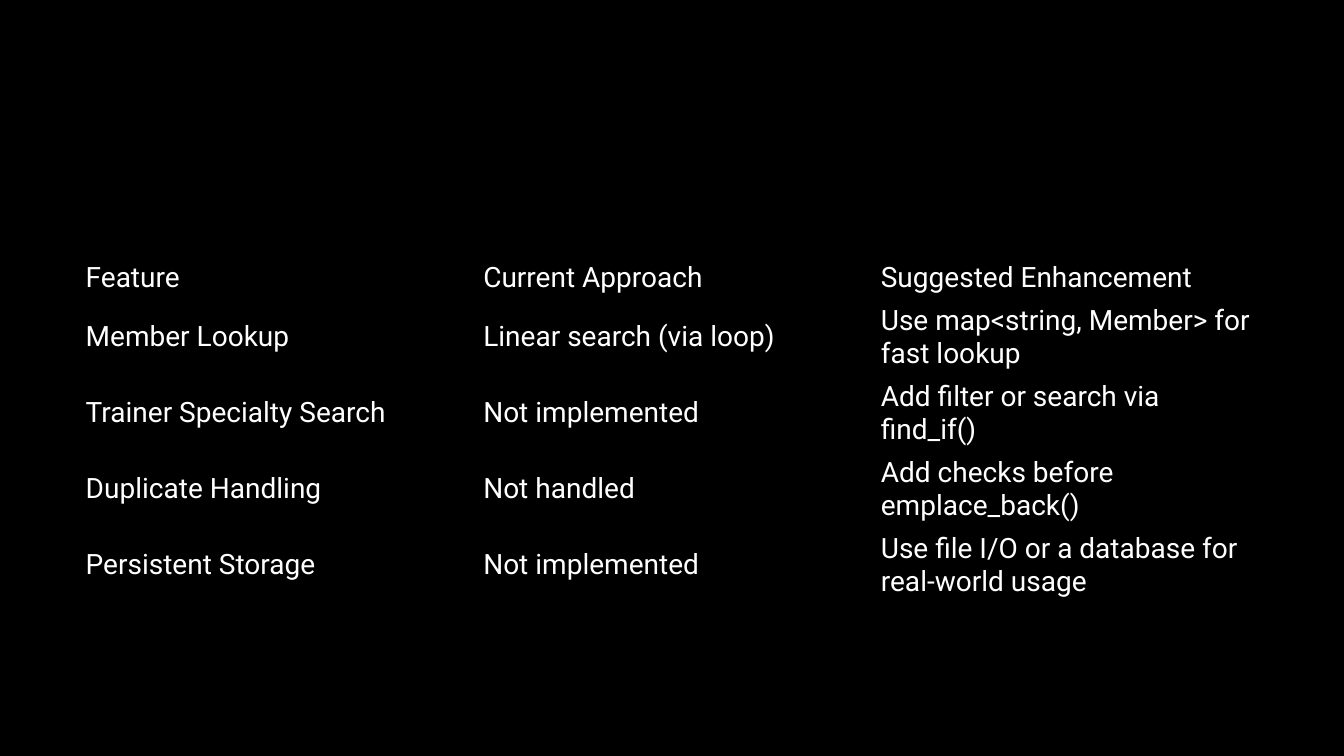
"""Build a slide with a table of features and suggested enhancements."""
from pptx import Presentation
from pptx import util as u
from pptx.dml import color
from pptx.enum import text

PLAIN = "{2D5ABB26-0587-4C30-8999-92F81FD0307C}"
ROWS = [
    ("Feature", "Current Approach", "Suggested Enhancement"),
    ("Member Lookup", "Linear search (via loop)", "Use map<string, Member> for fast lookup"),
    ("Trainer Specialty Search", "Not implemented", "Add filter or search via find_if()"),
    ("Duplicate Handling", "Not handled", "Add checks before emplace_back()"),
    ("Persistent Storage", "Not implemented", "Use file I/O or a database for real-world usage"),
]


def paint(fill, code):
    fill.solid()
    fill.fore_color.rgb = color.RGBColor.from_string(code)


class Deck:
    font, size, ink, back = "Roboto", 20, "FFFFFF", "000000"

    def __init__(self, wide, high):
        self.prs = Presentation()
        self.prs.slide_width = u.Inches(wide)
        self.prs.slide_height = u.Inches(high)
        self.slide = self.prs.slides.add_slide(self.prs.slide_layouts[6])
        paint(self.slide.background.fill, self.back)

    def table(self, rows, left, top, width, head, body):
        high = head + body * (len(rows) - 1)
        box = map(u.Inches, (left, top, width, high))
        grid = self.slide.shapes.add_table(len(rows), len(rows[0]), *box).table
        grid.first_row = grid.horz_banding = False
        grid._tbl.tblPr[0].text = PLAIN
        for i, row in enumerate(rows):
            grid.rows[i].height = u.Inches(body if i else head)
            for j, label in enumerate(row):
                self.cell(grid.cell(i, j), label)

    def cell(self, cell, label):
        cell.text = label
        cell.vertical_anchor = text.MSO_ANCHOR.MIDDLE
        cell.fill.background()
        font = cell.text_frame.paragraphs[0].font
        font.name, font.size = self.font, u.Pt(self.size)
        paint(font.fill, self.ink)


def main():
    deck = Deck(13.33, 7.5)
    deck.table(ROWS, 0.75, 2.54, 11.83, 0.42, 0.75)
    deck.prs.save("out.pptx")


if __name__ == "__main__":
    main()
